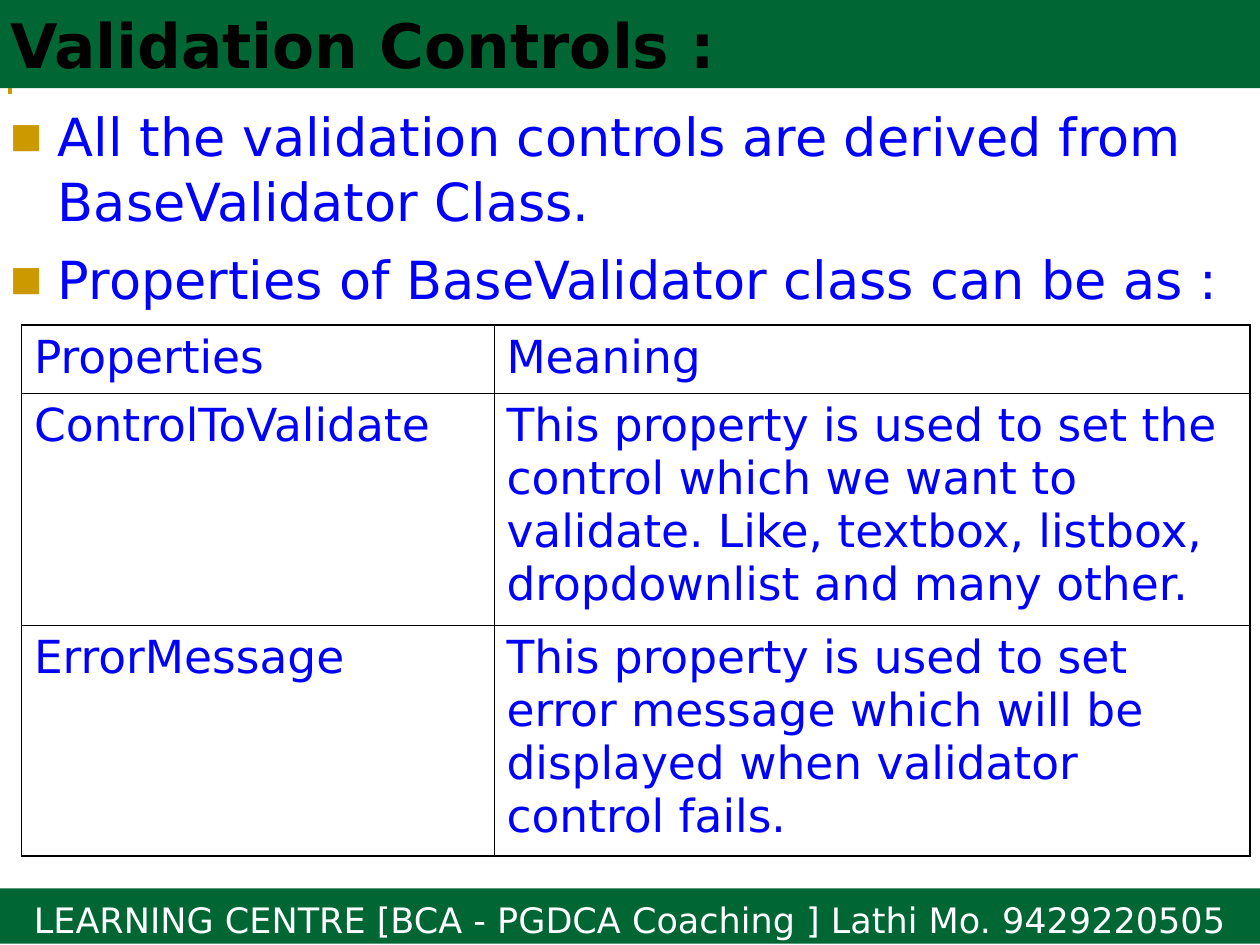
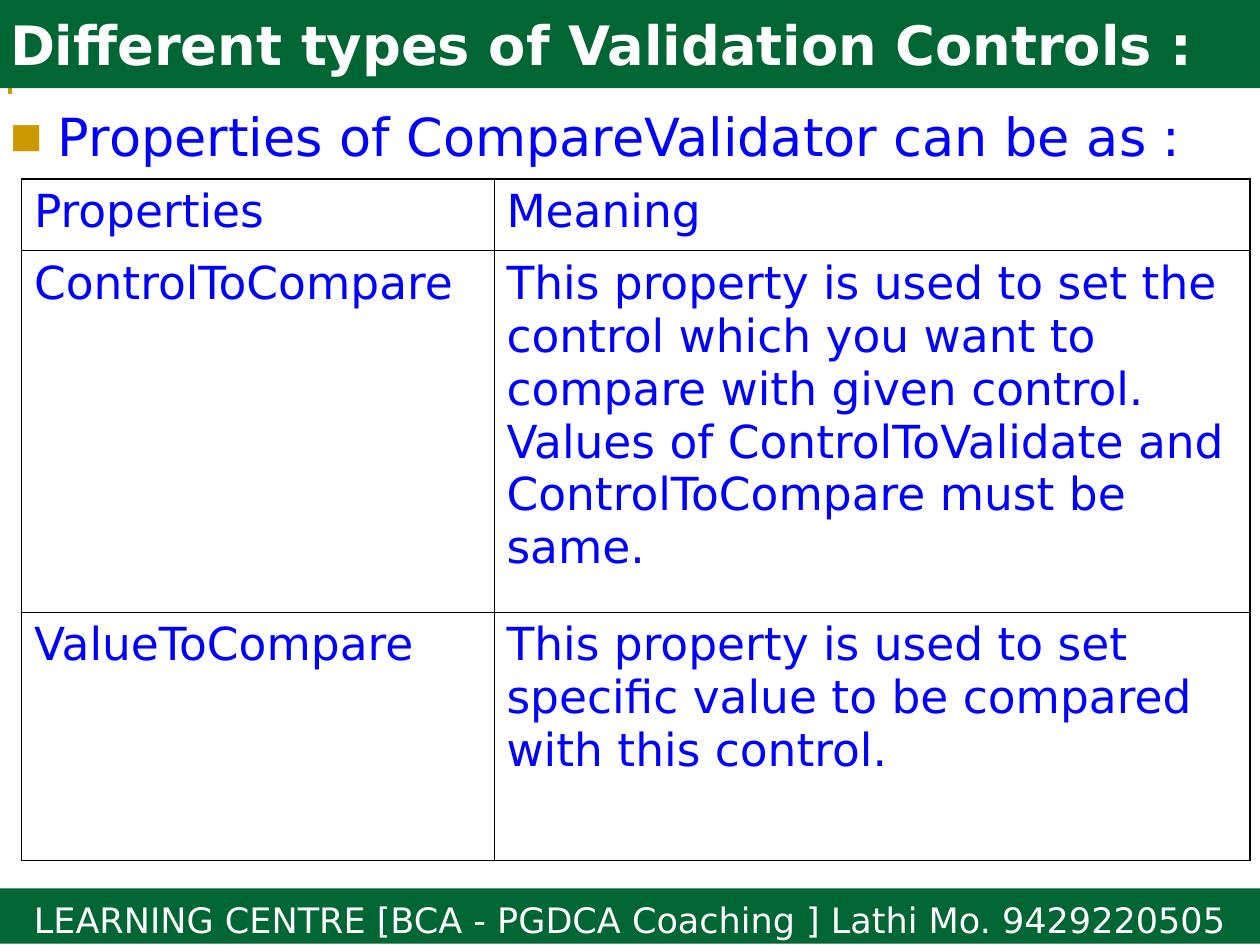
from lxml import etree
from pptx import Presentation, util as u
from pptx.dml.color import RGBColor
from pptx.enum import shapes, text
from pptx.oxml import ns

HUES = {"band": "006633", "gold": "CC9900", "ink": "0000FF",
        "dark": "000000", "pale": "FFFFFF"}
FACE = "DejaVu Sans"
FOOT = "LEARNING CENTRE [BCA - PGDCA Coaching ] Lathi Mo. 9429220505"
HEAD = ("Properties", "Meaning")
COLS = (3.75, 6)
WIDE, TALL = 10, 7.5
BODY = 0.75
THICK, THIN = 1.08, 0.45

PAGES = [
    {
        "title": "Validation Controls :", "size": 35, "hue": "dark",
        "points": ["All the validation controls are derived from BaseValidator Class.",
                   "Properties of BaseValidator class can be as :"],
        "deep": 1.75, "top": 2.58, "highs": (0.54, 1.84, 1.83),
        "rows": [
            ("ControlToValidate",
             "This property is used to set the control which we want to validate. "
             "Like, textbox, listbox, dropdownlist and many other."),
            ("ErrorMessage",
             "This property is used to set error message which will be displayed "
             "when validator control fails."),
        ],
    },
    {
        "title": "Different types of Validation Controls :", "size": 31, "hue": "pale",
        "points": ["Properties of CompareValidator can be as :"],
        "deep": 0.67, "top": 1.42, "highs": (0.57, 2.87, 1.97),
        "rows": [
            ("ControlToCompare",
             "This property is used to set the control which you want to compare with "
             "given control. Values of ControlToValidate and ControlToCompare must be same."),
            ("ValueToCompare",
             "This property is used to set specific value to be compared with this control."),
        ],
    },
]


def apply(item, **form):
    for key, val in form.items():
        setattr(item, key, val)


def color(name):
    return RGBColor.from_string(HUES[name])


def node(root, tag, **attrs):
    return etree.SubElement(root, ns.qn("a:" + tag), attrs)


def write(para, words, size, hue, bold=False):
    run = para.add_run()
    run.text = words
    apply(run.font, name=FACE, size=u.Pt(size), bold=bold)
    run.font.color.rgb = color(hue)


def frame(shape, left, top, right, base, anchor):
    apply(shape.text_frame, word_wrap=True, vertical_anchor=anchor,
          margin_left=u.Inches(left), margin_top=u.Inches(top),
          margin_right=u.Inches(right), margin_bottom=u.Inches(base))
    return shape.text_frame


def band(slide, top, high):
    rect = slide.shapes.add_shape(shapes.MSO_SHAPE.RECTANGLE, 0, u.Inches(top),
                                  u.Inches(WIDE), u.Inches(high))
    rect.shadow.inherit = False
    rect.fill.solid()
    rect.fill.fore_color.rgb = color("band")
    rect.line.fill.background()
    return rect


def footer(slide):
    box = frame(band(slide, 7.05, 0.44), 0.1, 0.05, 0.1, 0, text.MSO_ANCHOR.MIDDLE)
    para = box.paragraphs[0]
    para.alignment = text.PP_ALIGN.CENTER
    write(para, FOOT, 20, "pale")


def corner(slide):
    pen = slide.shapes.build_freeform(u.Inches(0.08), u.Inches(0.75))
    pen.add_line_segments([(u.Inches(x), u.Inches(0.08)) for x in (0.08, 9.83)],
                          close=False)
    edge = pen.convert_to_shape()
    edge.shadow.inherit = False
    edge.fill.background()
    edge.line.color.rgb = color("gold")
    edge.line.width = u.Pt(2.25)


def title(slide, page):
    box = frame(band(slide, 0, 0.7), 0.08, 0.04, 0.08, 0.04, text.MSO_ANCHOR.MIDDLE)
    para = box.paragraphs[0]
    para.alignment = text.PP_ALIGN.LEFT
    write(para, page["title"], page["size"], page["hue"], True)


def bullet(para):
    props = para._p.get_or_add_pPr()
    dent = u.Inches(0.38)
    props.set("marL", str(dent))
    props.set("indent", str(-dent))
    node(node(props, "buClr"), "srgbClr", val=HUES["gold"])
    node(props, "buSzPct", val="65000")
    node(props, "buFont", typeface=FACE)
    node(props, "buChar", char="■")


def points(slide, page):
    shape = slide.shapes.add_textbox(0, u.Inches(BODY), u.Inches(WIDE),
                                     u.Inches(page["deep"]))
    box = frame(shape, 0.08, 0.06, 0.08, 0.04, text.MSO_ANCHOR.TOP)
    for i, words in enumerate(page["points"]):
        para = box.add_paragraph() if i else box.paragraphs[0]
        bullet(para)
        apply(para, line_spacing=1.03, space_before=u.Pt(7.5 if i else 0))
        write(para, words, 30, "ink")


def border(cell, outer):
    props = cell._tc.get_or_add_tcPr()
    for side in "LRTB":
        width = u.Pt(THICK if side in outer else THIN)
        line = node(props, "ln" + side, w=str(width))
        node(node(line, "solidFill"), "srgbClr", val=HUES["dark"])
    cell.fill.background()


def grid(slide, page):
    rows = [HEAD] + page["rows"]
    table = slide.shapes.add_table(
        len(rows), len(COLS), u.Inches(0.17), u.Inches(page["top"]),
        u.Inches(sum(COLS)), u.Inches(sum(page["highs"]))).table
    apply(table, first_row=False, horz_banding=False)
    for col, wide in zip(table.columns, COLS):
        col.width = u.Inches(wide)
    for i, (row, high) in enumerate(zip(rows, page["highs"])):
        table.rows[i].height = u.Inches(high)
        for j, words in enumerate(row):
            cell = table.cell(i, j)
            outer = "LR"[j] + {0: "T", len(rows) - 1: "B"}.get(i, "")
            border(cell, outer)
            write(cell.text_frame.paragraphs[0], words, 26, "ink")


def main():
    deck = Presentation()
    apply(deck, slide_width=u.Inches(WIDE), slide_height=u.Inches(TALL))
    for page in PAGES:
        slide = deck.slides.add_slide(deck.slide_layouts[6])
        footer(slide)
        corner(slide)
        title(slide, page)
        points(slide, page)
        grid(slide, page)
    deck.save("out.pptx")


if __name__ == "__main__":
    main()
